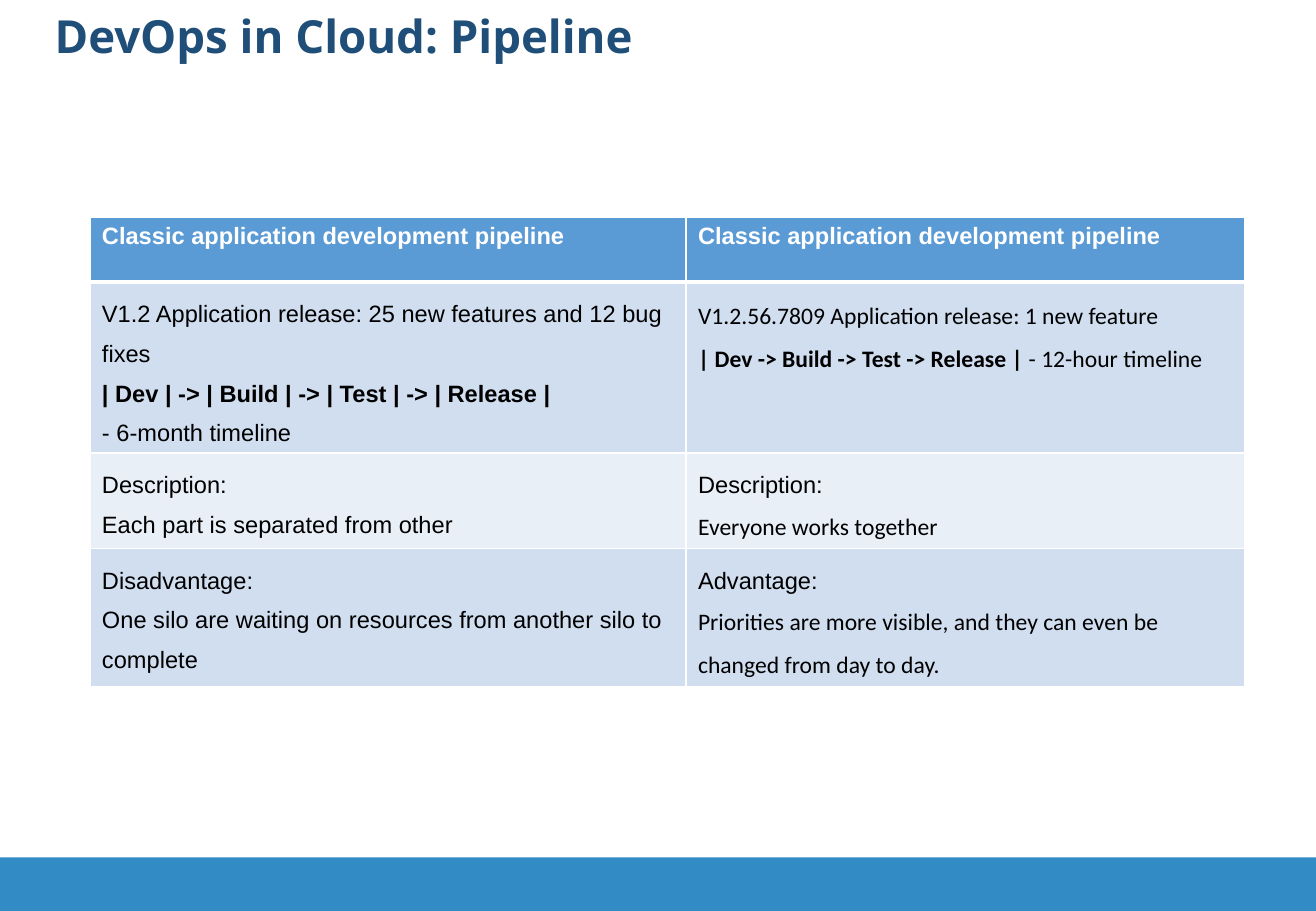
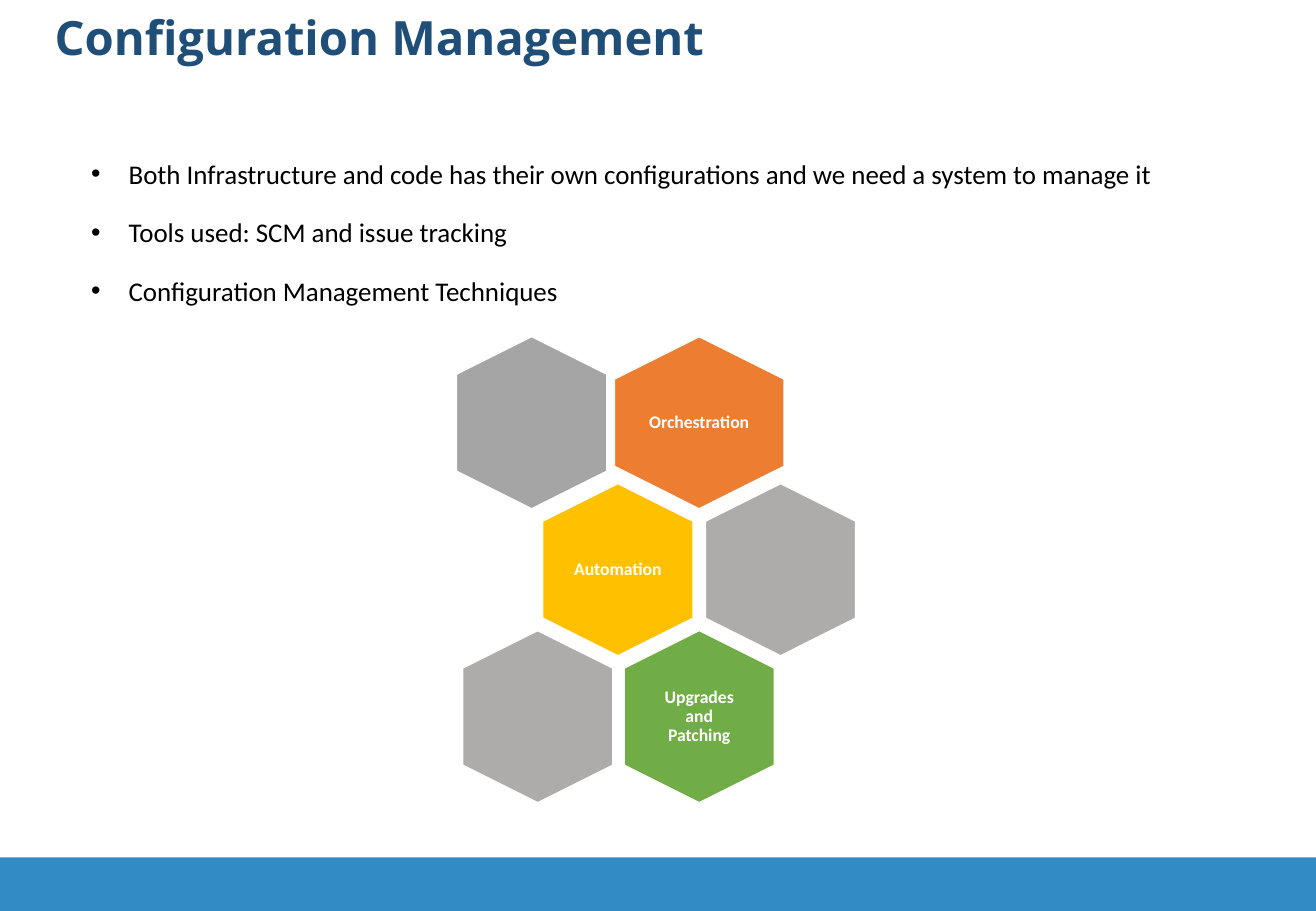
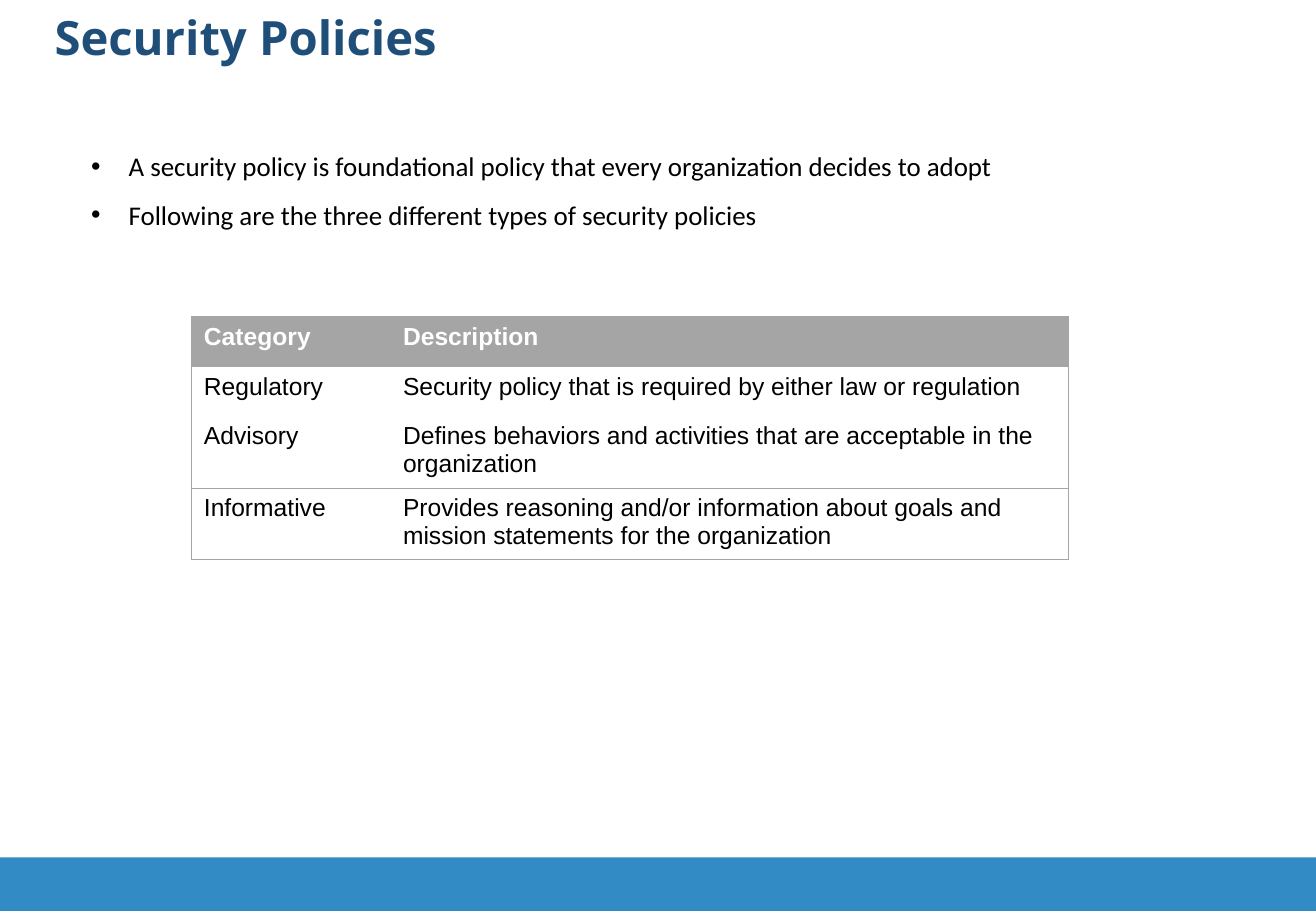
from dataclasses import dataclass

from lxml import etree
from pptx import Presentation
from pptx import util as u
from pptx.dml.color import RGBColor
from pptx.enum import shapes, text
from pptx.oxml.ns import qn


@dataclass(frozen=True)
class Theme:
    heading_font: str = "Open Sans"
    body_font: str = "Calibri"
    table_font: str = "Arial"
    title: str = "1F4E79"
    band: str = "328BC4"
    ink: str = "000000"
    white: str = "FFFFFF"
    header_blue: str = "5B9BD5"
    row_blue: str = "D0DEEF"
    row_pale: str = "E9EFF7"
    gray: str = "A5A5A5"
    warm_gray: str = "AEABAB"
    orange: str = "ED7D31"
    gold: str = "FFC000"
    green: str = "70AD47"
    title_size: float = 28
    long_title_size: float = 27
    bullet_size: float = 16
    pipeline_size: float = 14
    policy_size: float = 14.6
    hexagon_size: float = 10.5


theme = Theme()


def write(frame, paragraphs, *, size, font=theme.body_font, color=theme.ink, bold=False,
          align=text.PP_ALIGN.LEFT, spacing=1.0, before=0, indent=None):
    """Fill a text frame; a paragraph is a string or a list of (text, overrides) runs."""
    frame.word_wrap = True
    for index, content in enumerate(paragraphs):
        paragraph = frame.paragraphs[0] if index == 0 else frame.add_paragraph()
        paragraph.alignment = align
        paragraph.line_spacing = spacing
        paragraph.space_before = u.Pt(before if index else 0)
        if indent:
            properties = paragraph._p.get_or_add_pPr()
            properties.set("marL", str(u.Inches(indent)))
            properties.set("indent", str(-u.Inches(indent)))
        for words, changes in [(content, {})] if isinstance(content, str) else content:
            run = paragraph.add_run()
            run.text = words
            run.font.size = u.Pt(size)
            run.font.name = changes.get("font", font)
            run.font.bold = changes.get("bold", bold)
            run.font.color.rgb = RGBColor.from_string(color)


def add_grid(slide, left, top, widths, heights, rows, fills, borders, *, size, spacing):
    """Add a table; borders(row, column) maps a side to (colour, points)."""
    table = slide.shapes.add_table(
        len(heights), len(widths), u.Inches(left), u.Inches(top),
        u.Inches(sum(widths)), u.Inches(sum(heights))).table
    table.horz_banding = False
    for column, width in zip(table.columns, widths):
        column.width = u.Inches(width)
    for r, (height, contents, fill) in enumerate(zip(heights, rows, fills)):
        table.rows[r].height = u.Inches(height)
        for c, content in enumerate(contents):
            cell = table.cell(r, c)
            header = r == 0
            write(cell.text_frame, content, size=size, font=theme.table_font, bold=header,
                  color=theme.white if header else theme.ink,
                  spacing=1.0 if header else spacing)
            cell_properties = cell._tc.get_or_add_tcPr()
            for side in "LRTB":
                color, points = borders(r, c).get(side, (None, 0))
                line = etree.SubElement(cell_properties, qn(f"a:ln{side}"), w=str(u.Pt(points)))
                if color:
                    solid = etree.SubElement(line, qn("a:solidFill"))
                    etree.SubElement(solid, qn("a:srgbClr"), val=color)
                else:
                    etree.SubElement(line, qn("a:noFill"))
            if fill:
                cell.fill.solid()
                cell.fill.fore_color.rgb = RGBColor.from_string(fill)
            else:
                cell.fill.background()


prs = Presentation()
prs.slide_width, prs.slide_height = u.Inches(10.84), u.Inches(7.5)
title_only, title_and_content = prs.slide_layouts[5], prs.slide_layouts[1]

# Shared title position on the master
master_title = prs.slide_master.placeholders[0]
master_title.left, master_title.top = u.Inches(0.35), u.Inches(0.07)
master_title.width, master_title.height = u.Inches(6.21), u.Inches(0.69)
master_title.text_frame.vertical_anchor = text.MSO_ANCHOR.TOP
master_title.text_frame.auto_size = text.MSO_AUTO_SIZE.NONE

# Slides with their titles
deck = []
for layout, heading, size in [
    (title_only, "DevOps in Cloud: Pipeline", theme.long_title_size),
    (title_and_content, "Configuration Management", theme.title_size),
    (title_and_content, "Security Policies", theme.title_size),
]:
    slide = prs.slides.add_slide(layout)
    write(slide.shapes.title.text_frame, [heading], size=size, font=theme.heading_font,
          color=theme.title, bold=True, spacing=0.9)
    deck.append(slide)
pipeline, configuration, security = deck

# Footer band, moved to the back of the master
band = pipeline.shapes.add_shape(
    shapes.MSO_SHAPE.RECTANGLE, 0, u.Inches(7.06), prs.slide_width, u.Inches(0.44))
band.shadow.inherit = False
band.fill.solid()
band.fill.fore_color.rgb = RGBColor.from_string(theme.band)
band.line.fill.background()
band._element.nvSpPr.cNvPr.set("id", "20")
prs.slide_master.shapes.element.insert(2, band._element)

# Bullet lists
for slide, top, height, before, points in [
    (configuration, 1.11, 1.48, 6, [
        "Both Infrastructure and code has their own configurations and we need a system to manage it",
        "Tools used: SCM and issue tracking",
        "Configuration Management Techniques"]),
    (security, 1.05, 1.31, 0, [
        "A security policy is foundational policy that every organization decides to adopt",
        "Following are the three different types of security policies"]),
]:
    bullets = slide.placeholders[1]
    bullets.left, bullets.top = u.Inches(0.65), u.Inches(top)
    bullets.width, bullets.height = u.Inches(9.54), u.Inches(height)
    bullets.text_frame.auto_size = text.MSO_AUTO_SIZE.NONE
    write(bullets.text_frame, points, size=theme.bullet_size, spacing=1.5,
          before=before, indent=0.31)

# Pipeline comparison
calibri = {"font": theme.body_font}
bold = {"bold": True}
pipeline_rows = [
    [["Classic application development pipeline"]] * 2,
    [["V1.2 Application release: 25 new features and 12 bug fixes",
      [("| Dev | -> | Build | -> | Test | -> | Release |", bold)],
      "- 6-month timeline"],
     [[("V1.2.56.7809 Application release: 1 new feature", calibri)],
      [("| Dev -> Build -> Test -> Release | ", calibri | bold),
       ("- 12-hour timeline", calibri)]]],
    [["Description:", "Each part is separated from other"],
     ["Description:", [("Everyone works together", calibri)]]],
    [["Disadvantage:", "One silo are waiting on resources from another silo to complete"],
     ["Advantage:", [("Priorities are more visible, and they can even be changed from day to day.",
                      calibri)]]],
]
white_line, header_rule = (theme.white, 1), (theme.white, 3)
add_grid(
    pipeline, 0.74, 1.79, [4.91, 4.6], [0.53, 1.4, 0.78, 1.14], pipeline_rows,
    [theme.header_blue, theme.row_blue, theme.row_pale, theme.row_blue],
    lambda r, c: {"L": white_line, "R": white_line,
                  "T": header_rule if r == 1 else white_line,
                  "B": header_rule if r == 0 else white_line},
    size=theme.pipeline_size, spacing=1.5)

# Honeycomb of techniques: row, centre, width, colour, label
hexagon_height, row_pitch = 1.42, 1.21
for row, center, width, color, label in [
    (0, 5.76, 1.4, theme.orange, "Orchestration"),
    (0, 4.38, 1.24, theme.gray, None),
    (1, 5.09, 1.24, theme.gold, "Automation"),
    (1, 6.43, 1.24, theme.warm_gray, None),
    (2, 5.76, 1.24, theme.green, "Upgrades and Patching"),
    (2, 4.43, 1.24, theme.warm_gray, None),
]:
    top = 2.77 + row * row_pitch
    bottom = top + hexagon_height
    left, right, shoulder = center - width / 2, center + width / 2, width / 4
    outline = [(center, top), (right, top + shoulder), (right, bottom - shoulder),
               (center, bottom), (left, bottom - shoulder), (left, top + shoulder)]
    corners = [(u.Inches(x), u.Inches(y)) for x, y in outline]
    builder = configuration.shapes.build_freeform(*corners[0])
    builder.add_line_segments(corners[1:], close=True)
    hexagon = builder.convert_to_shape()
    hexagon.shadow.inherit = False
    hexagon.fill.solid()
    hexagon.fill.fore_color.rgb = RGBColor.from_string(color)
    hexagon.line.color.rgb = RGBColor.from_string(theme.white)
    hexagon.line.width = u.Pt(1)
    if label:
        frame = hexagon.text_frame
        frame.margin_left = frame.margin_right = u.Inches(width / 5 - 0.01)
        frame.margin_top = frame.margin_bottom = u.Inches(0.27)
        frame.vertical_anchor = text.MSO_ANCHOR.MIDDLE
        write(frame, [label], size=theme.hexagon_size, color=theme.white, bold=True,
              align=text.PP_ALIGN.CENTER, spacing=0.9)

# Policy types: framed table with a rule above the last row
policy_rows = [
    [["Category"], ["Description"]],
    [["Regulatory"], ["Security policy that is required by either law or regulation"]],
    [["Advisory"], ["Defines behaviors and activities that are acceptable in the organization"]],
    [["Informative"], ["Provides reasoning and/or information about goals and mission "
                       "statements for the organization"]],
]
gray_line = (theme.gray, 0.75)
add_grid(
    security, 1.58, 2.61, [1.64, 5.58], [0.41, 0.41, 0.59, 0.59], policy_rows,
    [theme.gray, None, None, None],
    lambda r, c: {"R" if c else "L": gray_line}
    | ({"T": gray_line} if r in (0, 1, 3) else {})
    | ({"B": gray_line} if r in (0, 2, 3) else {}),
    size=theme.policy_size, spacing=1.0)

prs.save("out.pptx")
